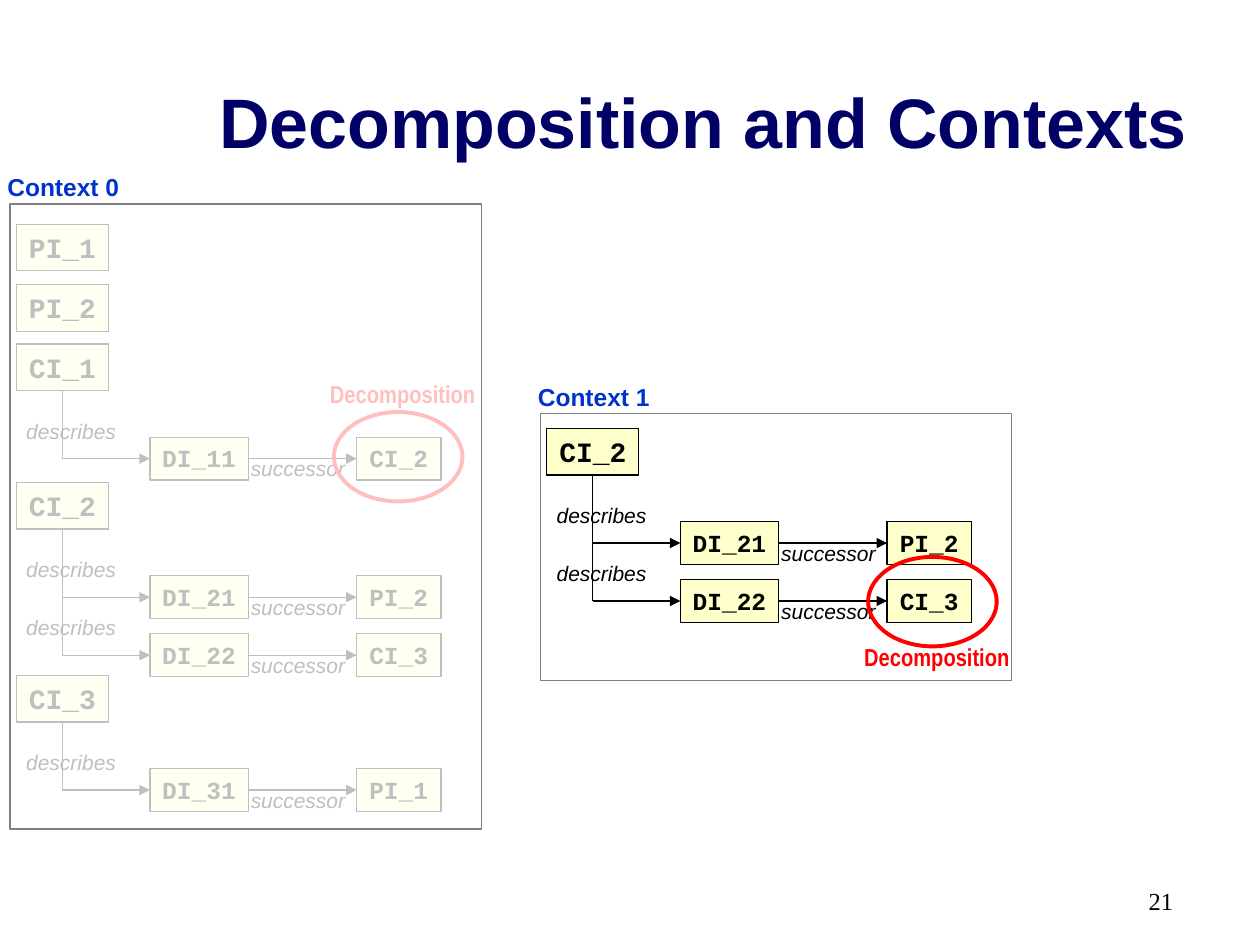
"""Build the slide on decomposition and contexts."""
from dataclasses import dataclass

from lxml import etree
from pptx import Presentation
from pptx import util as u
from pptx.dml.color import RGBColor
from pptx.enum import shapes, text
from pptx.oxml import ns


@dataclass(frozen=True)
class Theme:
    navy: str = "000066"
    blue: str = "0033CC"
    red: str = "FF0000"
    black: str = "000000"
    gray: str = "808080"
    white: str = "FFFFFF"
    cream: str = "FFFFCC"
    title_size: int = 40
    head_size: int = 16
    body_size: int = 14
    label_size: int = 12
    sans: str = "Arial"
    narrow: str = "Arial Narrow"
    mono: str = "Courier New"
    serif: str = "Times New Roman"
    thin: float = 0.75
    thick: float = 2.25


def write_text(frame, content, *, size, font, color, bold=False, italic=False,
               align=text.PP_ALIGN.LEFT, anchor=text.MSO_ANCHOR.TOP, wrap=False):
    frame.word_wrap = wrap
    frame.auto_size = text.MSO_AUTO_SIZE.NONE
    frame.vertical_anchor = anchor
    paragraph = frame.paragraphs[0]
    paragraph.alignment = align
    run = paragraph.add_run()
    run.text = content
    run.font.size = u.Pt(size)
    run.font.name = font
    run.font.bold = bold
    run.font.italic = italic
    run.font.color.rgb = RGBColor.from_string(color)


class Canvas:
    def __init__(self, slide, theme):
        self.slide = slide
        self.theme = theme

    def title(self, content, *box):
        shape = self.slide.shapes.title
        shape.left, shape.top, shape.width, shape.height = map(u.Inches, box)
        write_text(shape.text_frame, content, size=self.theme.title_size,
                   font=self.theme.sans, color=self.theme.navy, bold=True,
                   align=text.PP_ALIGN.CENTER, anchor=text.MSO_ANCHOR.MIDDLE, wrap=True)

    def label(self, content, *box, **style):
        shape = self.slide.shapes.add_textbox(*map(u.Inches, box))
        write_text(shape.text_frame, content, **style)

    def relation(self, content, *box):
        self.label(content, *box, size=self.theme.label_size, font=self.theme.sans,
                   color=self.theme.black, italic=True, align=text.PP_ALIGN.CENTER)

    def outline(self, kind, *box, color, weight, fill=None, opacity=None):
        shape = self.slide.shapes.add_shape(kind, *map(u.Inches, box))
        shape.shadow.inherit = False
        shape.line.color.rgb = RGBColor.from_string(color)
        shape.line.width = u.Pt(weight)
        if fill is None:
            shape.fill.background()
        else:
            shape.fill.solid()
            shape.fill.fore_color.rgb = RGBColor.from_string(fill)
        if opacity is not None:
            fill_color = shape.fill._xPr.find(ns.qn("a:solidFill"))[0]
            etree.SubElement(fill_color, ns.qn("a:alpha"), val=str(opacity * 1000))
        return shape

    def item(self, content, *box, size):
        shape = self.outline(shapes.MSO_SHAPE.RECTANGLE, *box, color=self.theme.black,
                             weight=self.theme.thin, fill=self.theme.cream)
        write_text(shape.text_frame, content, size=size, font=self.theme.mono,
                   color=self.theme.black, bold=True, align=text.PP_ALIGN.CENTER)
        return shape

    def head(self, content, left, top):
        return self.item(content, left, top, 0.73, 0.37, size=self.theme.head_size)

    def line(self, start, end, *, begin=None, finish=None, arrow=False):
        connector = self.slide.shapes.add_connector(
            shapes.MSO_CONNECTOR.STRAIGHT, *map(u.Inches, start + end))
        connector.line.color.rgb = RGBColor.from_string(self.theme.black)
        connector.line.width = u.Pt(self.theme.thin)
        if arrow:
            etree.SubElement(connector.line._get_or_add_ln(), ns.qn("a:tailEnd"),
                             type="triangle")
        etree.SubElement(connector._element.spPr, ns.qn("a:effectLst"))
        if begin is not None:
            connector.begin_connect(*begin)
        if finish is not None:
            connector.end_connect(*finish)

    def tree(self, name, left, top, branches):
        head = self.head(name, left, top)
        trunk = left + 0.365
        for index, (detail, successor) in enumerate(branches):
            row = top + 0.46 * index
            level = row + 0.91
            self.relation("successor", left + 1.76, row + 0.84, 0.95, 0.3)
            self.line((trunk, row + 0.37), (trunk, level),
                      begin=(head, 2) if index == 0 else None)
            detail_box = self.item(detail, left + 1.06, row + 0.74, 0.78, 0.34,
                                   size=self.theme.body_size)
            next_box = self.item(successor, left + 2.7, row + 0.74, 0.67, 0.34,
                                 size=self.theme.body_size)
            self.line((trunk, level), (left + 1.06, level),
                      finish=(detail_box, 1), arrow=True)
            self.line((left + 1.84, level), (left + 2.7, level),
                      begin=(detail_box, 3), finish=(next_box, 1), arrow=True)
            self.relation("describes", left - 0.03, row + 0.54, 0.93, 0.3)

    def context(self, name, left, top, height, **fill):
        self.outline(shapes.MSO_SHAPE.RECTANGLE, left, top, 3.74, height,
                     color=self.theme.gray, weight=self.theme.thin, **fill)
        self.label(name, left - 0.12, top - 0.3, 1.09, 0.34, size=self.theme.body_size,
                   font=self.theme.sans, color=self.theme.blue, bold=True)

    def decomposition(self, left, top, label_top):
        self.outline(shapes.MSO_SHAPE.OVAL, left, top, 1.02, 0.71,
                     color=self.theme.red, weight=self.theme.thick)
        self.label("Decomposition", left - 0.13, label_top, 1.35, 0.34,
                   size=self.theme.body_size, font=self.theme.narrow,
                   color=self.theme.red, bold=True)


def main():
    presentation = Presentation()
    presentation.slide_width = u.Inches(10)
    presentation.slide_height = u.Inches(7.5)
    slide = presentation.slides.add_slide(presentation.slide_layouts[5])
    theme = Theme()
    canvas = Canvas(slide, theme)
    canvas.title("Decomposition and Contexts", 1.58, 0.33, 8, 1.25)

    second_branches = [("DI_21", "PI_2"), ("DI_22", "CI_3")]
    canvas.head("PI_1", 0.13, 1.78)
    canvas.head("PI_2", 0.13, 2.26)
    canvas.tree("CI_1", 0.13, 2.73, [("DI_11", "CI_2")])
    canvas.tree("CI_2", 0.13, 3.83, second_branches)
    canvas.tree("CI_3", 0.13, 5.36, [("DI_31", "PI_1")])
    canvas.decomposition(2.65, 3.27, 2.96)
    canvas.context("Context 0", 0.08, 1.62, 4.96, fill=theme.white, opacity=75)

    canvas.tree("CI_2", 4.34, 3.4, second_branches)
    canvas.decomposition(6.89, 4.42, 5.05)
    canvas.context("Context 1", 4.29, 3.28, 2.12)

    canvas.label("21", 7.08, 6.98, 2.33, 0.52, size=theme.body_size, font=theme.serif,
                 color=theme.black, align=text.PP_ALIGN.RIGHT, wrap=True)
    presentation.save("out.pptx")


if __name__ == "__main__":
    main()
